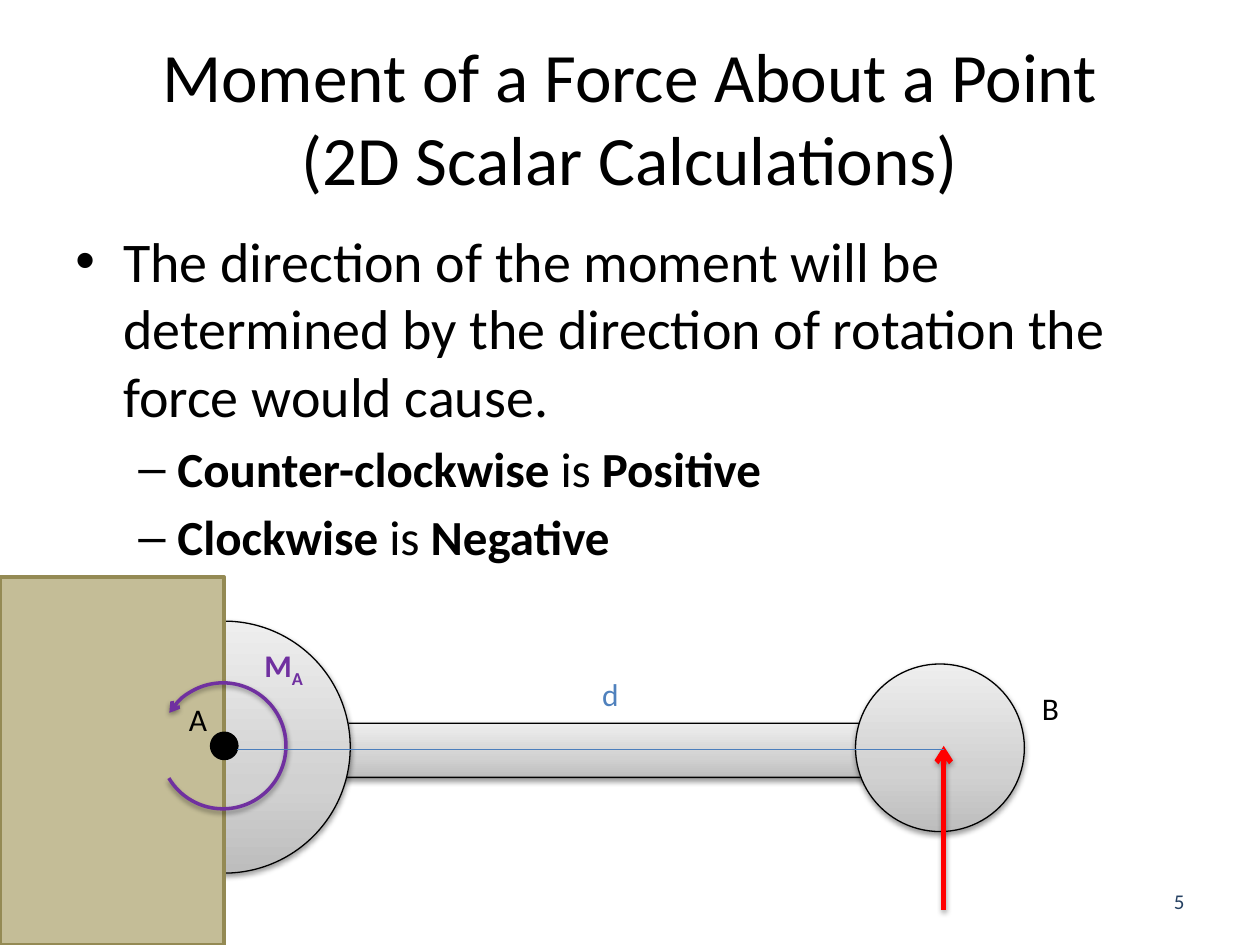
from dataclasses import dataclass
from typing import Optional

import pptx
import pptx.dml.color
import pptx.enum.shapes
import pptx.enum.text
import pptx.oxml
import pptx.oxml.ns
import pptx.util

Inches = pptx.util.Inches
Pt = pptx.util.Pt
Shape = pptx.enum.shapes.MSO_SHAPE
Align = pptx.enum.text.PP_ALIGN
Anchor = pptx.enum.text.MSO_ANCHOR

FONT = "Calibri"
NAMESPACE = pptx.oxml.ns.nsdecls("a")
COLORS = {
    "ink": "000000",
    "wall": "C4BD97",
    "wall_edge": "948A54",
    "force": "FF0000",
    "moment": "7030A0",
    "distance": "4F81BD",
    "distance_line": "4B7EBC",
    "page_number": "254061",
}
METAL_STOPS = [(0, "BDBDBD"), (35, "D1D1D1"), (100, "EEEEEE")]


@dataclass
class Part:
    kind: Shape
    at: tuple[float, float, float, float]
    fill: Optional[str]  # a colour name, "metal", or None for no fill
    line: str
    width: float
    shadow: bool = False


@dataclass
class Label:
    text: str
    at: tuple[float, float, float, float]
    color: str
    size: float = 18
    align: Align = Align.LEFT
    anchor: Anchor = Anchor.TOP
    wrap: bool = False


@dataclass
class Bullet:
    spans: list[tuple[str, bool]]  # text and whether it is bold
    char: str
    size: float
    margin: float
    hanging: float
    level: int = 0
    before: float = 0


def rgb(name: str) -> pptx.dml.color.RGBColor:
    return pptx.dml.color.RGBColor.from_string(COLORS[name])


def style_font(font, size: float, color: str, bold: bool = False) -> None:
    font.name = FONT
    font.size = Pt(size)
    font.bold = bold
    font.color.rgb = rgb(color)


def set_effects(item, shadow: bool, opacity: int = 38, distance: float = 1.6) -> None:
    """Give a shape or connector a soft shadow below it, or none at all."""
    properties = item._element.spPr
    for old in properties.findall(pptx.oxml.ns.qn("a:effectLst")):
        properties.remove(old)
    inner = ""
    if shadow:
        inner = (
            f'<a:outerShdw blurRad="{Pt(3.1)}" dist="{Pt(distance)}" dir="5400000" rotWithShape="0">'
            f'<a:srgbClr val="{COLORS["ink"]}"><a:alpha val="{opacity * 1000}"/></a:srgbClr></a:outerShdw>'
        )
    properties.append(pptx.oxml.parse_xml(f"<a:effectLst {NAMESPACE}>{inner}</a:effectLst>"))


def fill_metal(shape) -> None:
    stops = "".join(
        f'<a:gs pos="{place * 1000}"><a:srgbClr val="{color}"/></a:gs>'
        for place, color in METAL_STOPS
    )
    gradient = pptx.oxml.parse_xml(
        f'<a:gradFill {NAMESPACE} rotWithShape="1"><a:gsLst>{stops}</a:gsLst>'
        '<a:lin ang="16200000" scaled="0"/></a:gradFill>'
    )
    shape._element.spPr.find(pptx.oxml.ns.qn("a:prstGeom")).addnext(gradient)


def style_line(item, color: str, width: float, arrow: bool = False) -> None:
    item.line.color.rgb = rgb(color)
    item.line.width = Pt(width)
    if arrow:
        item.line._get_or_add_ln().append(
            pptx.oxml.parse_xml(f'<a:tailEnd {NAMESPACE} type="arrow"/>')
        )


def add_part(page, part: Part, arrow: bool = False):
    shape = page.shapes.add_shape(part.kind, *map(Inches, part.at))
    if part.fill == "metal":
        fill_metal(shape)
    elif part.fill:
        shape.fill.solid()
        shape.fill.fore_color.rgb = rgb(part.fill)
    else:
        shape.fill.background()
    style_line(shape, part.line, part.width, arrow)
    set_effects(shape, part.shadow)
    return shape


def add_line(page, start: tuple[float, float], end: tuple[float, float], color: str, width: float):
    line = page.shapes.add_connector(
        pptx.enum.shapes.MSO_CONNECTOR.STRAIGHT, *map(Inches, start + end)
    )
    style_line(line, color, width, arrow=color == "force")
    set_effects(line, color == "force", opacity=35, distance=1.8)


def add_label(page, label: Label):
    box = page.shapes.add_textbox(*map(Inches, label.at))
    frame = box.text_frame
    frame.word_wrap = label.wrap
    frame.vertical_anchor = label.anchor
    frame.text = label.text
    para = frame.paragraphs[0]
    para.alignment = label.align
    for span in para.runs:
        style_font(span.font, label.size, label.color)
    return box


def add_bullets(page, at: tuple[float, float, float, float], bullets: list[Bullet]) -> None:
    frame = page.shapes.add_textbox(*map(Inches, at)).text_frame
    frame.word_wrap = True
    for index, bullet in enumerate(bullets):
        para = frame.add_paragraph() if index else frame.paragraphs[0]
        para.level = bullet.level
        if bullet.before:
            para.space_before = Pt(bullet.before)
        properties = para._p.get_or_add_pPr()
        properties.set("marL", str(Inches(bullet.margin)))
        properties.set("indent", str(-Inches(bullet.hanging)))
        properties.append(pptx.oxml.parse_xml(f'<a:buFont {NAMESPACE} typeface="Arial"/>'))
        properties.append(pptx.oxml.parse_xml(f'<a:buChar {NAMESPACE} char="{bullet.char}"/>'))
        for text, bold in bullet.spans:
            span = para.add_run()
            span.text = text
            style_font(span.font, bullet.size, "ink", bold)


def sign_rule(direction: str, sign: str) -> Bullet:
    spans = [(f"{direction} ", True), ("is", False), (f" {sign}", True)]
    return Bullet(spans, "–", 28, 0.81, 0.31, level=1, before=5.6)


def main() -> None:
    deck = pptx.Presentation()
    deck.slide_width, deck.slide_height = Inches(10), Inches(7.5)
    page = deck.slides.add_slide(deck.slide_layouts[6])

    # Title, page number and rules
    add_label(page, Label("Moment of a Force About a Point\v(2D Scalar Calculations)",
                          (0.5, 0.3, 9, 1.25), "ink", 39.6, Align.CENTER, Anchor.MIDDLE, True))
    add_label(page, Label("5", (7.17, 6.95, 2.33, 0.4), "page_number", 12,
                          Align.RIGHT, Anchor.MIDDLE, True))
    statement = ("The direction of the moment will be determined by "
                 "the direction of rotation the force would cause.")
    add_bullets(page, (0.5, 1.75, 9, 2.68), [
        Bullet([(statement, False)], "•", 32, 0.38, 0.38),
        sign_rule("Counter-clockwise", "Positive"),
        sign_rule("Clockwise", "Negative"),
    ])

    # Lever: bar, hub, wall and free end
    bar = add_part(page, Part(Shape.ROUNDED_RECTANGLE, (2.39, 5.74, 4.95, 0.43), "metal", "ink", 0.75, True))
    bar.adjustments[0] = 0.5
    for part in [
        Part(Shape.OVAL, (0.78, 4.93, 2, 2), "metal", "ink", 0.75, True),
        Part(Shape.RECTANGLE, (0, 4.58, 1.78, 2.92), "wall", "wall_edge", 2),
        Part(Shape.OVAL, (6.79, 5.27, 1.34, 1.33), "metal", "ink", 0.75, True),
    ]:
        add_part(page, part)

    # Points A and B
    add_label(page, Label("B", (8.17, 5.42, 0.34, 0.4), "ink"))
    add_label(page, Label("A", (1.4, 5.51, 0.35, 0.4), "ink"))
    add_part(page, Part(Shape.OVAL, (1.68, 5.82, 0.2, 0.2), "ink", "ink", 2))

    # Force arrow
    add_line(page, (7.49, 7.22), (7.49, 5.92), "force", 3)

    # Counter-clockwise moment about A
    arc = add_part(page, Part(Shape.ARC, (1.27, 5.42, 1, 1), None, "moment", 2, True), arrow=True)
    arc.adjustments[0], arc.adjustments[1] = 18.49, 197
    arc._element.spPr.xfrm.set("flipH", "1")
    moment = add_label(page, Label("M", (2, 5.08, 0.52, 0.4), "moment"))
    para = moment.text_frame.paragraphs[0]
    para.add_run().text = "A"
    for span in para.runs:
        style_font(span.font, 18, "moment", bold=True)
    para.runs[1].font._element.set("baseline", "-25000")

    # Distance from A to the force
    add_line(page, (1.88, 5.95), (7.49, 5.95), "distance_line", 0.75)
    add_label(page, Label("d", (4.68, 5.31, 0.34, 0.4), "distance"))

    deck.save("out.pptx")


if __name__ == "__main__":
    main()
